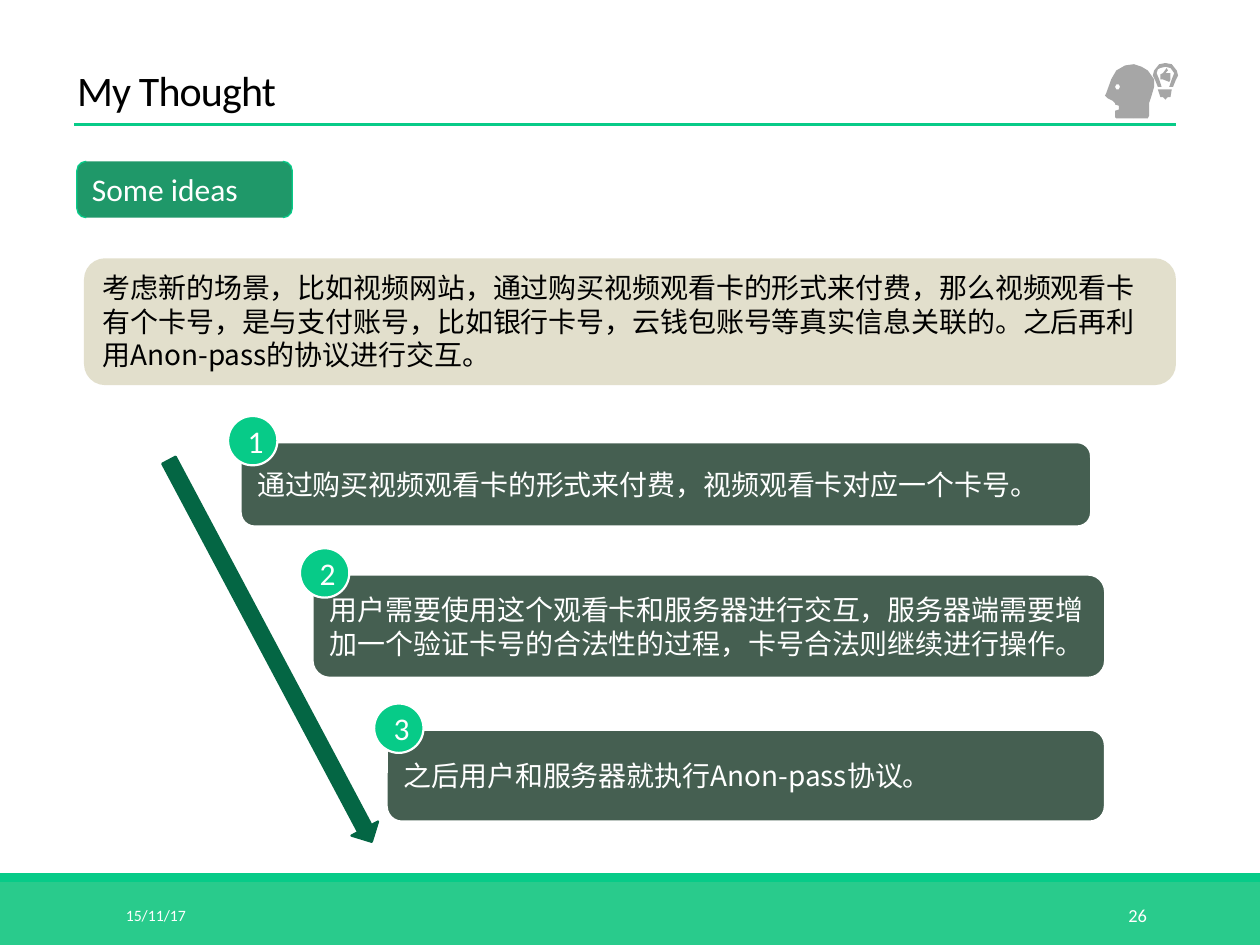
from lxml.etree import SubElement
from pptx import Presentation
from pptx.dml.color import RGBColor
from pptx.enum.shapes import MSO_CONNECTOR as Connector, MSO_SHAPE as Shape
from pptx.enum.text import MSO_ANCHOR as Anchor, PP_ALIGN as Align
from pptx.oxml.ns import qn
from pptx.util import Pt

TITLE = "My Thought"
SECTION = "Some ideas"
SCENARIO = (
    "考虑新的场景，比如视频网站，通过购买视频观看卡的形式来付费，"
    "那么视频观看卡有个卡号，是与支付账号，比如银行卡号，云钱包账号等真实信息关联的。"
    "之后再利用Anon-pass的协议进行交互。"
)
STEPS = [
    ("通过购买视频观看卡的形式来付费，视频观看卡对应一个卡号。", (137.5, 252.7, 486, 48.2)),
    ("用户需要使用这个观看卡和服务器进行交互，服务器端需要增加一个验证卡号的合法性的过程，"
     "卡号合法则继续进行操作。", (178.6, 328.3, 452.9, 59)),
    ("之后用户和服务器就执行Anon-pass协议。", (221, 417, 410.4, 52.5)),
]
DATE = "15/11/17"
PAGE = "26"

ICON_UNIT = 0.72
ICON = [
    [[(900, 51), (906, 53), (911, 56), (916, 63), (916, 69), (914, 76),
      (912, 82), (912, 92), (911, 94), (900, 94)]],
    [[(900, 51), (893, 52), (886, 56), (882, 63), (878, 74), (877, 76),
      (879, 78), (883, 80), (885, 82), (885, 83), (888, 84), (888, 87),
      (885, 88), (885, 93), (886, 94), (900, 94)],
     [(885, 69), (886, 67), (888, 67), (889, 69), (888, 71), (886, 71)]],
    [[(919, 71), (930, 71), (929, 77), (927, 77), (925, 79), (923, 77), (921, 77)],
     [(929, 58), (929, 63), (928, 65), (923, 63), (921, 63), (921, 59),
      (923, 58), (926, 54), (927, 56), (925, 58)],
     [(919, 69), (922, 69), (920, 63), (918, 58), (919, 55), (921, 54),
      (925, 53), (929, 54), (932, 58), (930, 63), (928, 69), (931, 69),
      (933, 64), (935, 60), (934, 56), (930, 51), (925, 50), (920, 51),
      (916, 56), (915, 60), (917, 64)]],
]

THEME = {
    "latin": "Calibri", "chinese": "Noto Sans CJK SC",
    "black": "000000", "white": "FFFFFF", "accent": "07CB88",
    "footer": "29CB8C", "section": "1F9869", "scenario": "E2DFCC",
    "step": "455F51", "arrow": "046644", "icon": "A6A6A6",
    "title_size": 24, "heading_size": 18, "body_size": 16,
    "date_size": 9, "page_size": 10.5,
}
BADGE_SIZE = 28.2
BADGE_OFFSET = (-7.2, -15)


def color(name):
    return RGBColor.from_string(THEME[name])


def write(shape, text, size, ink="white", font="latin", align=Align.LEFT,
          anchor=Anchor.MIDDLE, line_spacing=None, tracking=None):
    frame = shape.text_frame
    frame.word_wrap = True
    frame.vertical_anchor = anchor
    paragraph = frame.paragraphs[0]
    paragraph.alignment = align
    if line_spacing:
        paragraph.line_spacing = line_spacing
    run = paragraph.add_run()
    run.text = text
    run.font.size = Pt(THEME[size])
    run.font.name = THEME[font]
    run.font.color.rgb = color(ink)
    properties = run.font._element
    SubElement(properties, qn("a:ea")).set("typeface", THEME[font])
    if tracking is not None:
        properties.set("spc", str(int(tracking * 100)))


def paint(shape, fill, line=None, width=1.25):
    shape.shadow.inherit = False
    shape.fill.solid()
    shape.fill.fore_color.rgb = color(fill)
    if line:
        shape.line.color.rgb = color(line)
        shape.line.width = Pt(width)
    else:
        shape.line.fill.background()
    return shape


def add_box(slide, kind, bounds, fill, line=None, width=1.25):
    shape = slide.shapes.add_shape(kind, *map(Pt, bounds))
    return paint(shape, fill, line, width)


def add_footer(slide):
    add_box(slide, Shape.RECTANGLE, (0, 504, 720, 36), "footer")
    add_box(slide, Shape.RECTANGLE, (0, 499, 720, 5), "accent")
    for text, size, align, left, width in (
        (DATE, "date_size", Align.LEFT, 64.8, 146),
        (PAGE, "page_size", Align.RIGHT, 584.6, 77.8),
    ):
        box = slide.shapes.add_textbox(*map(Pt, (left, 508.5, width, 28.8)))
        write(box, text, size, align=align)


def add_header(slide):
    title = slide.shapes.title
    title.left, title.top, title.width, title.height = map(Pt, (36.9, 26, 540, 43.2))
    write(title, TITLE, "title_size", ink="black", anchor=Anchor.BOTTOM,
          line_spacing=0.85, tracking=-0.5)
    rule = slide.shapes.add_connector(
        Connector.STRAIGHT, *map(Pt, (42.5, 71.3, 672, 71.3)))
    rule.line.color.rgb = color("accent")
    rule.line.width = Pt(1.5)
    SubElement(rule._element.spPr, qn("a:effectLst"))


def add_icon(slide):
    for contours in ICON:
        builder = None
        for start, *rest in contours:
            if builder is None:
                builder = slide.shapes.build_freeform(*start, scale=Pt(ICON_UNIT))
            else:
                builder.move_to(*start)
            builder.add_line_segments(rest, close=True)
        paint(builder.convert_to_shape(), "icon")


def add_steps(slide):
    for number, (text, bounds) in enumerate(STEPS, 1):
        box = add_box(slide, Shape.ROUNDED_RECTANGLE, bounds, "step", "white")
        write(box, text, "body_size", font="chinese")
        left, top = (edge + shift for edge, shift in zip(bounds, BADGE_OFFSET))
        badge = add_box(slide, Shape.OVAL, (left, top, BADGE_SIZE, BADGE_SIZE),
                        "accent", "white")
        write(badge, str(number), "heading_size", align=Align.CENTER)


def main():
    presentation = Presentation()
    presentation.slide_width, presentation.slide_height = Pt(720), Pt(540)
    slide = presentation.slides.add_slide(presentation.slide_layouts[5])
    add_footer(slide)
    add_header(slide)
    section = add_box(slide, Shape.DOUBLE_BRACKET, (43.9, 92.2, 123.1, 32.2),
                      "section", "accent", 0.75)
    write(section, SECTION, "heading_size", anchor=Anchor.TOP)
    scenario = add_box(slide, Shape.ROUNDED_RECTANGLE, (48, 147.6, 624, 72.5), "scenario")
    write(scenario, SCENARIO, "body_size", ink="black", font="chinese", anchor=Anchor.TOP)
    arrow = add_box(slide, Shape.RIGHT_ARROW, (31, 363.4, 247, 17.3), "arrow", "arrow")
    arrow.rotation = 62
    add_steps(slide)
    add_icon(slide)
    presentation.save("out.pptx")


if __name__ == "__main__":
    main()
